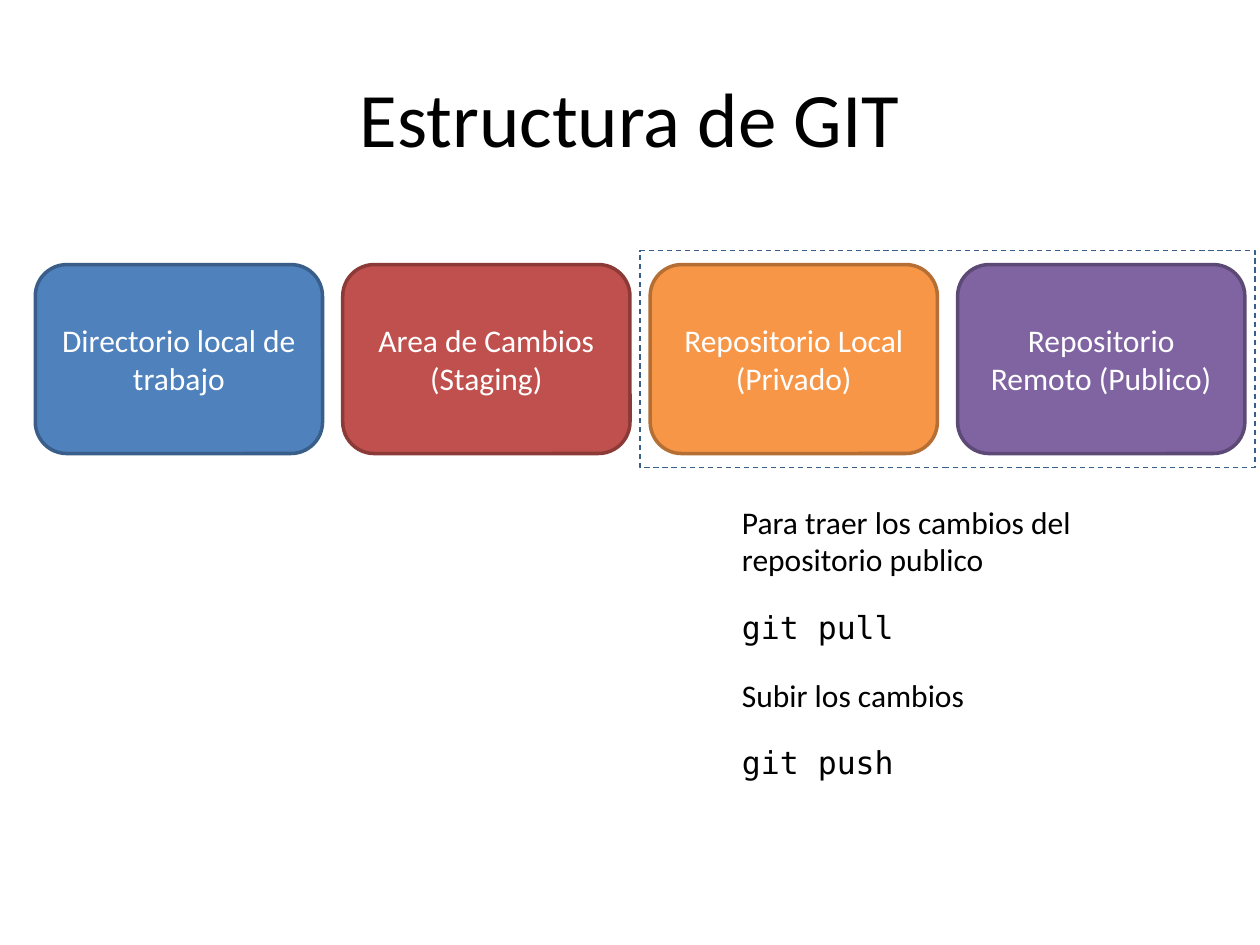
from dataclasses import dataclass
from pptx import Presentation
from pptx.dml.color import RGBColor as RGB
from pptx.enum.dml import MSO_LINE_DASH_STYLE as Dash
from pptx.enum.shapes import MSO_SHAPE as Shape
from pptx.enum.text import MSO_ANCHOR as Anchor, PP_ALIGN as Align
from pptx.util import Inches, Pt


@dataclass(frozen=True)
class Theme:
    font: str = "Calibri"
    mono: str = "DejaVu Sans Mono"
    ink: str = "000000"
    light: str = "FFFFFF"
    edge: str = "395E8A"
    head: int = 44
    body: int = 18
    gap: int = 17


THEME = Theme()
WIDTH, HEIGHT = 10, 7.5

# Label, fill and outline of each stage
STAGES = [
    ("Directorio local de trabajo", "4F81BD", THEME.edge),
    ("Area de Cambios (Staging)", "C0504D", "8C3A38"),
    ("Repositorio Local (Privado)", "F79646", "B56E33"),
    ("Repositorio Remoto (Publico)", "8064A2", "5D4976"),
]
NOTES = [
    ("Para traer los cambios del repositorio publico", THEME.font),
    ("git pull", THEME.mono),
    ("Subir los cambios", THEME.font),
    ("git push", THEME.mono),
]


def place(box):
    return [Inches(n) for n in box]


def write(para, text, size, color, font=THEME.font):
    run = para.add_run()
    run.text = text
    run.font.size = Pt(size)
    run.font.name = font
    run.font.color.rgb = RGB.from_string(color)


def outline(shape, color, width):
    shape.shadow.inherit = False
    shape.line.color.rgb = RGB.from_string(color)
    shape.line.width = Pt(width)


def add_title(slide, box, text):
    title = slide.shapes.title
    title.left, title.top, title.width, title.height = place(box)
    frame = title.text_frame
    frame.vertical_anchor = Anchor.MIDDLE
    para = frame.paragraphs[0]
    para.alignment = Align.CENTER
    write(para, text, THEME.head, THEME.ink)


def add_stage(slide, box, label, fill, edge):
    card = slide.shapes.add_shape(Shape.ROUNDED_RECTANGLE, *place(box))
    card.fill.solid()
    card.fill.fore_color.rgb = RGB.from_string(fill)
    outline(card, edge, 2)
    frame = card.text_frame
    frame.word_wrap = True
    frame.vertical_anchor = Anchor.MIDDLE
    para = frame.paragraphs[0]
    para.alignment = Align.CENTER
    write(para, label, THEME.body, THEME.light)


def add_flow(slide, box, stages, gap, pad):
    left, top, width, height = box
    step = (width + gap) / len(stages)
    for i, stage in enumerate(stages):
        add_stage(slide, (left + i * step, top, step - gap, height), *stage)

    # Dashed frame around the last two stages
    start = left + (len(stages) - 2) * step - gap / 2
    area = start, top - pad, 2 * step, height + 2 * pad
    group = slide.shapes.add_shape(Shape.RECTANGLE, *place(area))
    group.fill.background()
    outline(group, THEME.edge, 0.75)
    group.line.dash_style = Dash.DASH


def add_notes(slide, box, notes):
    frame = slide.shapes.add_textbox(*place(box)).text_frame
    frame.word_wrap = True
    for i, (text, font) in enumerate(notes):
        para = frame.add_paragraph() if i else frame.paragraphs[0]
        para.space_before = Pt(THEME.gap if i else 0)
        write(para, text, THEME.body, THEME.ink, font)


def main():
    deck = Presentation()
    deck.slide_width, deck.slide_height = Inches(WIDTH), Inches(HEIGHT)
    slide = deck.slides.add_slide(deck.slide_layouts[5])
    add_title(slide, (0.05 * WIDTH, 0.04 * HEIGHT, 0.9 * WIDTH, 1.25),
              "Estructura de GIT")
    add_flow(slide, (0.28, 0.28 * HEIGHT, 0.96 * WIDTH, 0.2 * HEIGHT),
             STAGES, gap=0.16, pad=0.11)
    add_notes(slide, (5.79, 3.94, 3.82, 2.83), NOTES)
    deck.save("out.pptx")


main()
